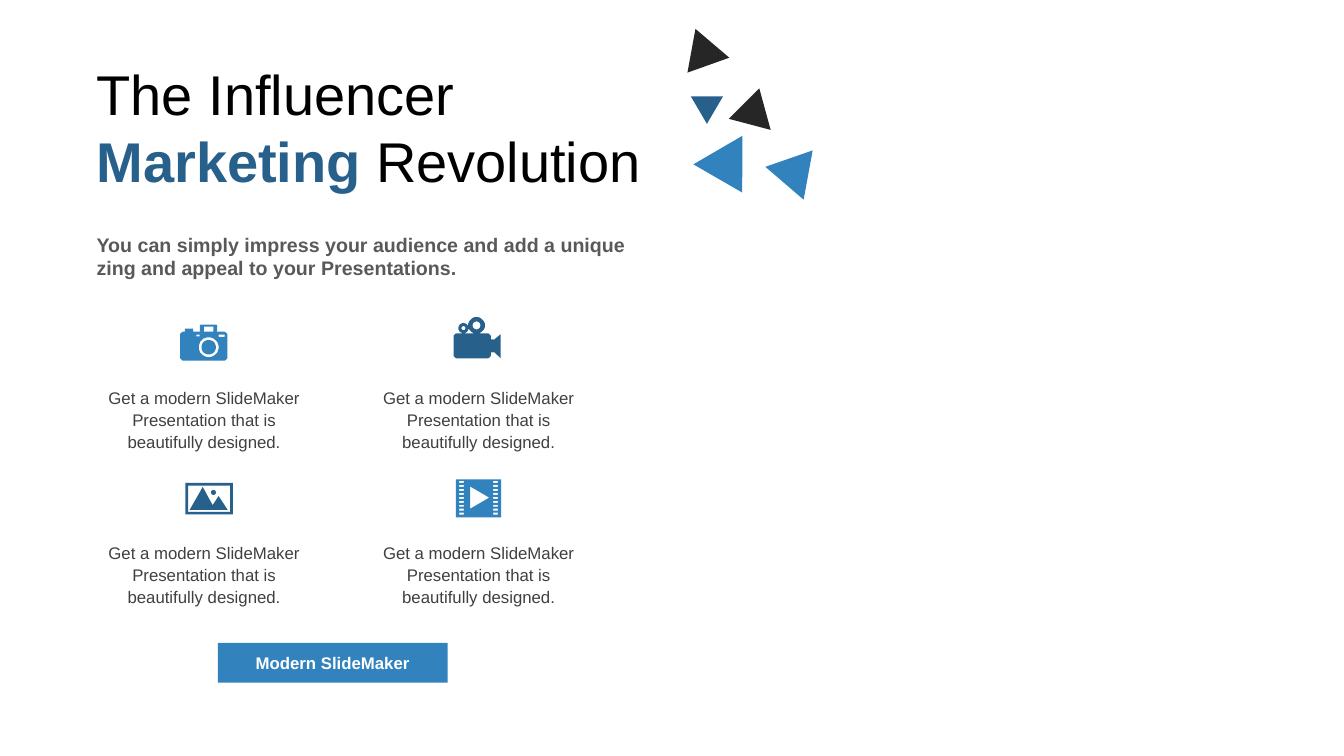
import math
from pptx import Presentation
from pptx import util as u
from pptx.dml.color import RGBColor
from pptx.enum import shapes, text
from pptx.oxml.ns import qn
from lxml import etree

FONT = "Arial"
BLUE, NAVY, BLACK, WHITE = "3282BE", "28608C", "262626", "FFFFFF"

TITLE = [("The Influencer ", "000000", False), ("Marketing ", NAVY, True),
         ("Revolution", "000000", False)]
SUBTITLE = ("You can simply impress your audience and add a unique zing "
            "and appeal to your Presentations.")
FEATURE = "Get a modern SlideMaker Presentation that is beautifully designed."
BUTTON = "Modern SlideMaker"

# left, top, width, height in cm, rotation, colour
TRIANGLES = [
    (17.13, 0.7, 1.12, 0.97, 340.4, BLACK),
    (17.69, 3.34, 1.42, 1.24, 30, BLUE),
    (19.49, 3.66, 1.27, 1.09, 40.6, BLUE),
    (18.47, 2.21, 1.09, 0.94, 14.8, BLACK),
    (17.41, 2.43, 0.81, 0.69, 180, NAVY),
]


# Outlines for the icons, in tenths of a millimetre
def box(left, top, right, bottom):
    return [(left, top), (right, top), (right, bottom), (left, bottom)]


def arc(x, y, radius, start=0, sweep=360, steps=36):
    angles = [math.radians(start + sweep * i / steps) for i in range(steps + 1)]
    return [(x + radius * math.cos(a), y + radius * math.sin(a)) for a in angles]


def rounded_box(left, top, right, bottom, radius):
    corners = [(left + radius, top + radius, 180), (right - radius, top + radius, 270),
               (right - radius, bottom - radius, 0), (left + radius, bottom - radius, 90)]
    return [point for x, y, start in corners
            for point in arc(x, y, radius, start, 90, 6)]


CAMERA = [rounded_box(0, 18, 119, 91, 9), box(12, 10, 33, 18),
          rounded_box(50, 0, 93, 18, 3), box(60, 5, 84, 18),
          box(41, 25, 49, 30), box(97, 25, 112, 31),
          arc(72, 57, 25), arc(72, 57, 18)]
CAMCORDER = [rounded_box(0, 41, 94, 104, 10), arc(58, 21, 21), arc(58, 21, 10),
             arc(25, 28, 13), arc(25, 28, 5), box(94, 56, 101, 89),
             [(101, 58), (119, 43), (119, 104), (101, 87)]]
PHOTO = [box(0, 0, 120, 79), box(7, 7, 113, 73), arc(71, 24, 6),
         [(44, 10), (69, 56), (84, 33), (107, 68), (11, 68)]]
FILM = [box(0, 0, 114, 96), [(36, 18), (84, 46), (36, 74)]]
FILM += [box(x, 4 + 10 * row, x + 12, 9 + 10 * row)
         for x in (8, 94) for row in range(9)]

# outlines, left, top in cm, colour
ICONS = [
    (CAMERA, 4.54, 8.18, BLUE),
    (CAMCORDER, 11.43, 7.99, NAVY),
    (PHOTO, 4.67, 12.17, NAVY),
    (FILM, 11.49, 12.08, BLUE),
]


def color(value):
    return RGBColor.from_string(value)


def paint(shape, fill):
    shape.shadow.inherit = False
    shape.fill.solid()
    shape.fill.fore_color.rgb = color(fill)
    shape.line.fill.background()


def place(shape, left, top, width, height):
    shape.left, shape.top = u.Cm(left), u.Cm(top)
    shape.width, shape.height = u.Cm(width), u.Cm(height)


def write(shape, runs, size, align, anchor, spacing=None, grow=False):
    frame = shape.text_frame
    frame.word_wrap = True
    sizing = text.MSO_AUTO_SIZE
    frame.auto_size = sizing.SHAPE_TO_FIT_TEXT if grow else sizing.NONE
    frame.vertical_anchor = anchor
    paragraph = frame.paragraphs[0]
    paragraph.alignment = align
    paragraph.space_before = u.Pt(0)
    if spacing:
        paragraph.line_spacing = spacing
    for words, fill, bold in runs:
        run = paragraph.add_run()
        run.text = words
        run.font.name, run.font.size, run.font.bold = FONT, u.Pt(size), bold
        run.font.color.rgb = color(fill)


def add_icon(slide, outlines, left, top, fill):
    first, *others = outlines
    builder = slide.shapes.build_freeform(*first[0], scale=u.Cm(0.01))
    builder.add_line_segments(first[1:], close=True)
    for outline in others:
        builder.move_to(*outline[0])
        builder.add_line_segments(outline[1:], close=True)
    paint(builder.convert_to_shape(u.Cm(left), u.Cm(top)), fill)


def main():
    presentation = Presentation()
    presentation.slide_width, presentation.slide_height = u.Cm(33.87), u.Cm(19.05)
    slide = presentation.slides.add_slide(presentation.slide_layouts[1])
    left, center = text.PP_ALIGN.LEFT, text.PP_ALIGN.CENTER
    top, middle = text.MSO_ANCHOR.TOP, text.MSO_ANCHOR.MIDDLE

    # Title and subtitle
    title, subtitle = slide.placeholders
    place(title, 2.18, 1.59, 14.33, 3.2)
    write(title, TITLE, 40, left, middle)
    place(subtitle, 2.18, 5.74, 14.33, 1.45)
    properties = subtitle.text_frame.paragraphs[0]._p.get_or_add_pPr()
    properties.set("marL", "0")
    properties.set("indent", "0")
    etree.SubElement(properties, qn("a:buNone"))
    write(subtitle, [(SUBTITLE, "595959", True)], 14, left, top, grow=True)

    # Decorative triangles
    for x, y, width, height, rotation, fill in TRIANGLES:
        triangle = slide.shapes.add_shape(
            shapes.MSO_SHAPE.ISOSCELES_TRIANGLE,
            u.Cm(x), u.Cm(y), u.Cm(width), u.Cm(height))
        triangle.rotation = rotation
        paint(triangle, fill)

    # Two by two grid of features
    for index, icon in enumerate(ICONS):
        row, column = divmod(index, 2)
        feature = slide.shapes.add_textbox(
            u.Cm(2.21 + 6.92 * column), u.Cm(9.59 + 3.91 * row), u.Cm(5.87), u.Cm(1.93))
        write(feature, [(FEATURE, "404040", False)], 12, center, top, 1.1, grow=True)
        add_icon(slide, *icon)

    # Button
    button = slide.shapes.add_shape(shapes.MSO_SHAPE.RECTANGLE,
                                    u.Cm(5.49), u.Cm(16.2), u.Cm(5.79), u.Cm(1))
    paint(button, BLUE)
    write(button, [(BUTTON, WHITE, True)], 12, center, middle)

    presentation.save("out.pptx")


if __name__ == "__main__":
    main()
